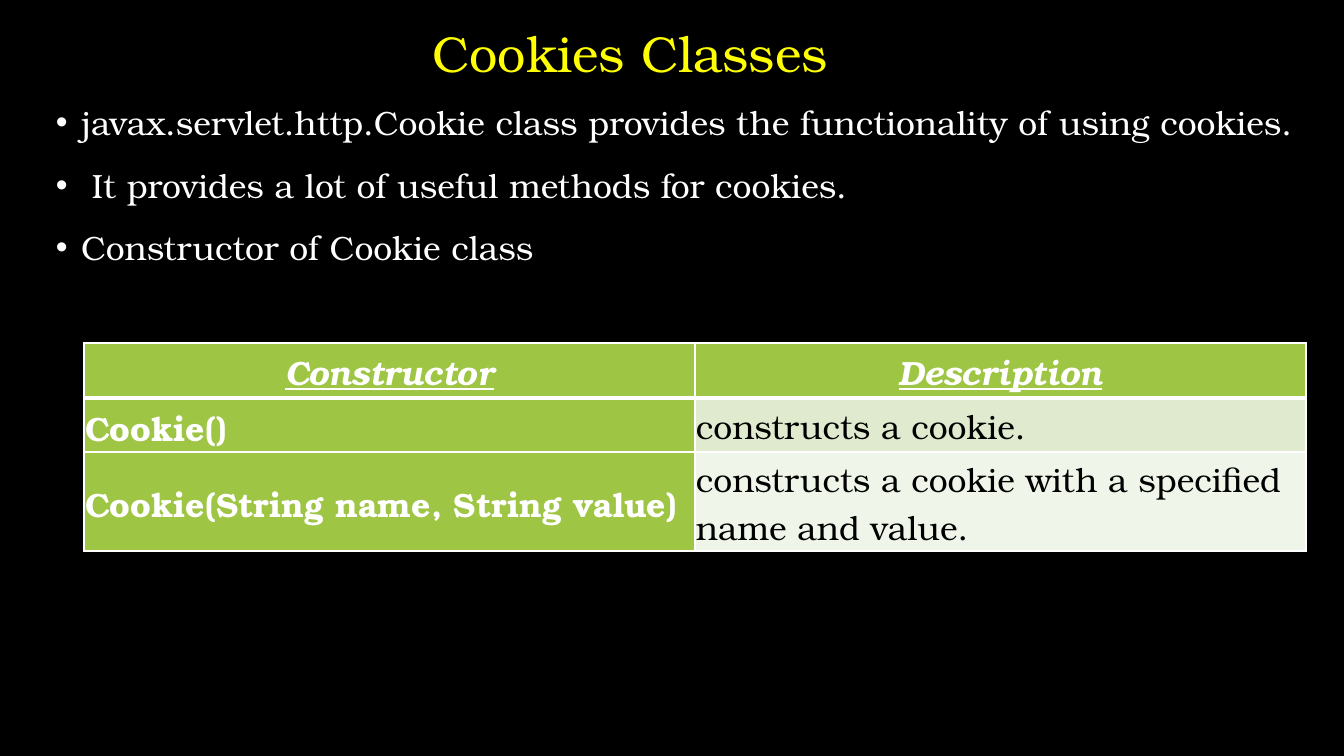
from lxml import etree
from pptx import Presentation
from pptx.dml.color import RGBColor
from pptx.enum.text import MSO_ANCHOR, PP_ALIGN
from pptx.oxml.ns import qn
from pptx.util import Emu, Pt

LEFT, CENTER, JUSTIFY = PP_ALIGN.LEFT, PP_ALIGN.CENTER, PP_ALIGN.JUSTIFY
MIDDLE = MSO_ANCHOR.MIDDLE
FONT = "TeX Gyre Bonum"
BLACK, WHITE, YELLOW = "000000", "FFFFFF", "FFFF00"
GREEN, PALE_GREEN, LIGHT_GREEN = "9EC544", "DFEACF", "F0F5E9"


def px(count):
    return Emu(round(count * 914400 / 100.8))


def color(value):
    return RGBColor.from_string(value)


class SlideBuilder:
    def __init__(self, deck, background):
        self.page = deck.slides.add_slide(deck.slide_layouts[6])
        fill = self.page.background.fill
        fill.solid()
        fill.fore_color.rgb = color(background)

    def style(self, para, size, ink, align, emphasis=""):
        para.alignment = align
        font = para.font
        font.name = FONT
        font.size = Pt(size)
        font.color.rgb = color(ink)
        font.bold = "b" in emphasis
        font.italic = "i" in emphasis
        font.underline = "u" in emphasis

    def text_frame(self, left, top, width, height):
        box = self.page.shapes.add_textbox(px(left), px(top), px(width), px(height))
        box.text_frame.word_wrap = True
        return box.text_frame

    def title(self, text, *area):
        para = self.text_frame(*area).paragraphs[0]
        para.text = text
        self.style(para, 36, YELLOW, CENTER)

    def bullets(self, lines, *area):
        frame = self.text_frame(*area)
        frame.text = "\n".join(lines)
        for para in frame.paragraphs:
            self.style(para, 24, WHITE, JUSTIFY)
            para.line_spacing = 1.2
            para.space_before = Pt(10)
            properties = para._p.get_or_add_pPr()
            properties.set("marL", "228600")
            properties.set("indent", "-228600")
            bullet_font = etree.Element(qn("a:buFont"), typeface="Arial")
            bullet = etree.Element(qn("a:buChar"), char="•")
            spacing = properties.find(qn("a:spcBef"))
            spacing.addnext(bullet_font)
            bullet_font.addnext(bullet)

    def borders(self, cell, bottom):
        properties = cell._tc.get_or_add_tcPr()
        widths = {"a:lnL": 1, "a:lnR": 1, "a:lnT": 1, "a:lnB": bottom}
        for index, (side, width) in enumerate(widths.items()):
            line = etree.Element(qn(side), w=str(Pt(width)))
            fill = etree.SubElement(line, qn("a:solidFill"))
            etree.SubElement(fill, qn("a:srgbClr"), val=WHITE)
            properties.insert(index, line)

    def cell(self, cell, text, fill, ink, align, emphasis, bottom):
        cell.fill.solid()
        cell.fill.fore_color.rgb = color(fill)
        cell.vertical_anchor = MIDDLE
        cell.margin_left = cell.margin_right = px(1)
        cell.margin_top = cell.margin_bottom = px(1)
        para = cell.text_frame.paragraphs[0]
        para.text = text
        para.line_spacing = 1.07
        self.style(para, 24, ink, align, emphasis)
        self.borders(cell, bottom)

    def table(self, rows, row_fills, heights, left, top, width):
        columns = len(rows[0])
        frame = self.page.shapes.add_table(
            len(rows), columns, px(left), px(top), px(width), px(sum(heights)))
        table = frame.table
        for column in table.columns:
            column.width = px(width // columns)
        for row_index, texts in enumerate(rows):
            table.rows[row_index].height = px(heights[row_index])
            for column_index, text in enumerate(texts):
                cell = table.cell(row_index, column_index)
                if row_index == 0:
                    self.cell(cell, text, GREEN, WHITE, CENTER, "biu", 3)
                elif column_index == 0:
                    self.cell(cell, text, GREEN, WHITE, LEFT, "b", 1)
                else:
                    self.cell(cell, text, row_fills[row_index - 1], BLACK, LEFT, "", 1)


def main():
    deck = Presentation()
    deck.slide_width, deck.slide_height = px(1344), px(756)
    builder = SlideBuilder(deck, BLACK)
    builder.title("Cookies Classes", 71, 17, 1118, 72)
    builder.bullets([
        "javax.servlet.http.Cookie class provides the functionality of using cookies.",
        " It provides a lot of useful methods for cookies.",
        "Constructor of Cookie class",
    ], 46, 89, 1260, 655)
    builder.table([
        ("Constructor", "Description"),
        ("Cookie()", "constructs a cookie."),
        ("Cookie(String name, String value)",
         "constructs a cookie with a specified name and value."),
    ], (PALE_GREEN, LIGHT_GREEN), (55, 54, 99), 84, 343, 1222)
    deck.save("out.pptx")


if __name__ == "__main__":
    main()
